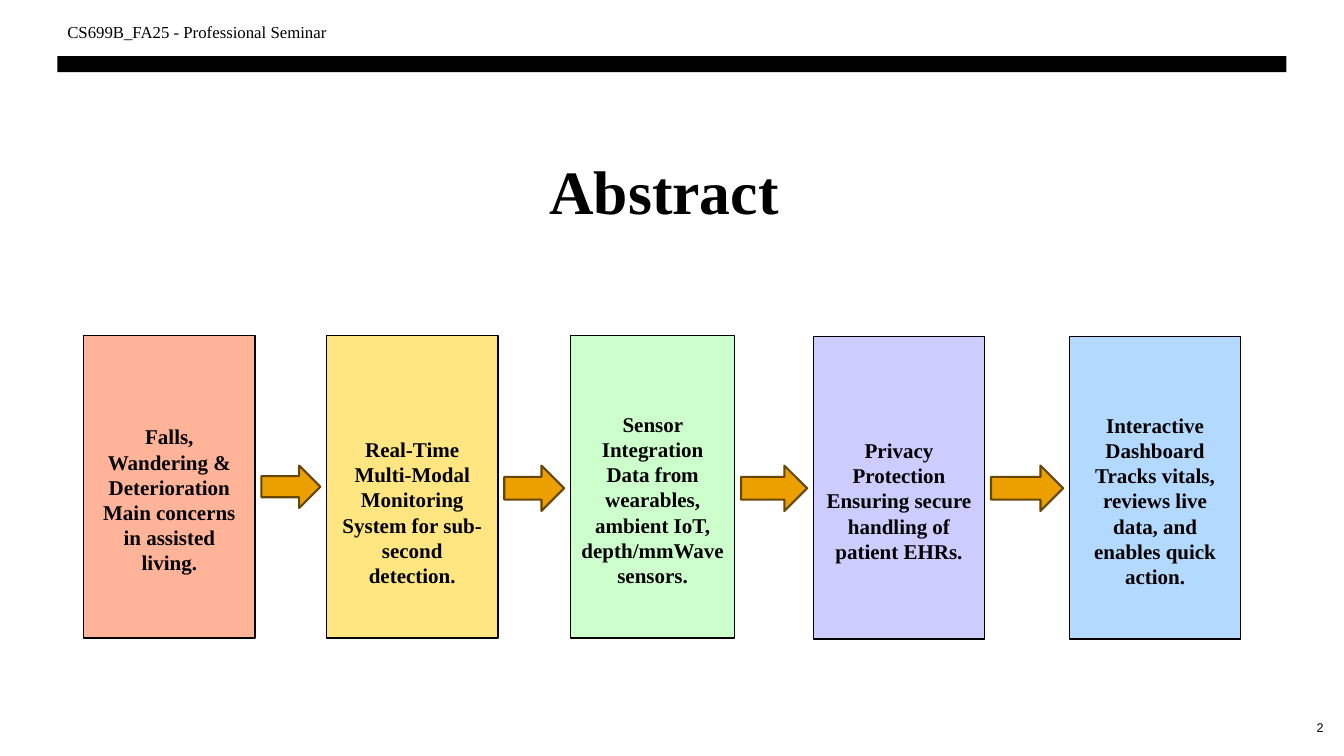
from dataclasses import dataclass
from itertools import pairwise

from pptx import Presentation
from pptx.dml.color import RGBColor
from pptx.enum.shapes import MSO_SHAPE
from pptx.enum.text import MSO_ANCHOR, PP_ALIGN
from pptx.shapes.autoshape import Shape
from pptx.slide import Slide
from pptx.util import Pt

COLORS = {
    "black": "000000",
    "coral": "FFB399",
    "yellow": "FFE680",
    "green": "CCFFCC",
    "lilac": "CCCCFF",
    "sky": "B3D9FF",
    "arrow": "EBA000",
    "arrow_line": "674600",
}
SERIF = "Times New Roman"
STAGE_HEIGHT = 216
LINE_HEIGHT = 18
ARROW_TOP = 332.6
ARROW_MARGIN = 4.5


@dataclass(frozen=True)
class Stage:
    left: float
    top: float
    width: float
    color: str
    paragraphs: tuple[str, ...]
    lines_above: int = 1
    arrow_height: float = 32.4

    @property
    def right(self) -> float:
        return self.left + self.width


STAGES = [
    Stage(59.8, 239.8, 122.4, "coral",
          ("Falls, Wandering & Deterioration",
           "Main concerns in assisted living."), arrow_height=30.2),
    Stage(233.3, 239.8, 122.4, "yellow",
          ("Real-Time Multi-Modal Monitoring System for sub-second detection.",),
          lines_above=2),
    Stage(407.5, 239.8, 117.4, "green",
          ("Sensor Integration",
           "Data from wearables, ambient IoT, depth/mmWave sensors.")),
    Stage(581, 240.5, 122.4, "lilac",
          ("Privacy Protection",
           "Ensuring secure handling of patient EHRs.")),
    Stage(763.9, 240.5, 122.4, "sky",
          ("Interactive Dashboard",
           "Tracks vitals, reviews live data, and enables quick action.")),
]


def color(name: str) -> RGBColor:
    return RGBColor.from_string(COLORS[name])


def write_text(shape: Shape, *texts: str, size: float, font: str = SERIF,
               bold: bool = False, align: PP_ALIGN = PP_ALIGN.LEFT,
               line_height: float | None = None, side: float = 7.2,
               above: float = 3.6, below: float = 3.6) -> None:
    frame = shape.text_frame
    frame.word_wrap = True
    frame.vertical_anchor = MSO_ANCHOR.MIDDLE
    frame.margin_left = frame.margin_right = Pt(side)
    frame.margin_top, frame.margin_bottom = Pt(above), Pt(below)
    for index, text in enumerate(texts):
        paragraph = frame.add_paragraph() if index else frame.paragraphs[0]
        paragraph.alignment = align
        if line_height:
            paragraph.line_spacing = Pt(line_height)
        run = paragraph.add_run()
        run.text = text
        run.font.name = font
        run.font.size = Pt(size)
        run.font.bold = bold
        run.font.color.rgb = color("black")


def add_box(slide: Slide, left: float, top: float, width: float,
            height: float) -> Shape:
    return slide.shapes.add_textbox(Pt(left), Pt(top), Pt(width), Pt(height))


def add_filled(slide: Slide, kind: MSO_SHAPE, left: float, top: float,
               width: float, height: float, fill: str,
               line: str | None = None, line_width: float = 1) -> Shape:
    shape = slide.shapes.add_shape(kind, Pt(left), Pt(top), Pt(width), Pt(height))
    shape.shadow.inherit = False
    shape.fill.solid()
    shape.fill.fore_color.rgb = color(fill)
    if line:
        shape.line.color.rgb = color(line)
        shape.line.width = Pt(line_width)
    else:
        shape.line.fill.background()
    return shape


def add_stage(slide: Slide, stage: Stage) -> None:
    shape = add_filled(slide, MSO_SHAPE.RECTANGLE, stage.left, stage.top,
                       stage.width, STAGE_HEIGHT, stage.color, "black")
    write_text(shape, *stage.paragraphs, size=15, bold=True,
               align=PP_ALIGN.CENTER, line_height=LINE_HEIGHT, side=7,
               above=3.6 + stage.lines_above * LINE_HEIGHT)


def add_arrow(slide: Slide, start: Stage, end: Stage) -> None:
    left = start.right + ARROW_MARGIN
    add_filled(slide, MSO_SHAPE.RIGHT_ARROW, left, ARROW_TOP,
               end.left - ARROW_MARGIN - left, start.arrow_height,
               "arrow", "arrow_line", 1.5)


def main() -> None:
    presentation = Presentation()
    presentation.slide_width = Pt(960)
    presentation.slide_height = Pt(540)
    slide = presentation.slides.add_slide(presentation.slide_layouts[6])

    add_filled(slide, MSO_SHAPE.RECTANGLE, 41, 40.2, 878, 11.4, "black")
    title = add_box(slide, 41, 100, 878, 79.2)
    write_text(title, "Abstract ", size=44, bold=True,
               align=PP_ALIGN.CENTER, below=12)

    for stage in STAGES:
        add_stage(slide, stage)
    for start, end in pairwise(STAGES):
        add_arrow(slide, start, end)

    header = add_box(slide, 41, 8, 324, 28.8)
    write_text(header, "CS699B_FA25 - Professional Seminar", size=12)
    page_number = add_box(slide, 902.2, 505.4, 50.4, 28.8)
    write_text(page_number, "2", size=9, font="Arial", align=PP_ALIGN.RIGHT)

    presentation.save("out.pptx")


if __name__ == "__main__":
    main()
